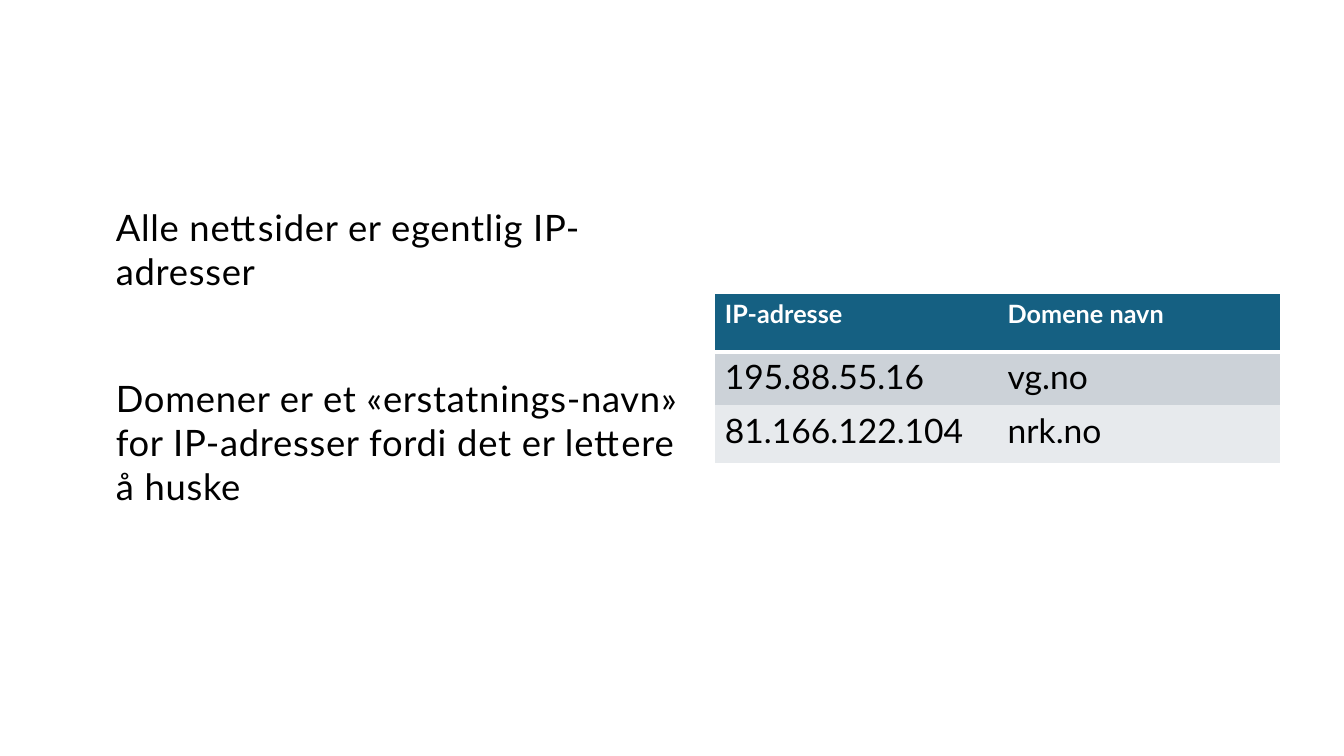
from dataclasses import dataclass

from lxml.etree import SubElement
from pptx import Presentation
from pptx.dml.color import RGBColor
from pptx.enum.text import MSO_ANCHOR as Anchor
from pptx.oxml.ns import qn
from pptx.slide import Slide
from pptx.table import _Cell as Cell
from pptx.text.text import _Paragraph as Paragraph
from pptx.util import Inches, Pt


@dataclass(frozen=True)
class Theme:
    """Colours and type sizes of the slide."""
    font: str = "Lato"
    white: str = "FFFFFF"
    black: str = "000000"
    header_fill: str = "156082"
    body_size: int = 26
    header_size: int = 18
    cell_size: int = 24
    spacing: float = 7
    thin_line: float = 1
    thick_line: float = 3


@dataclass(frozen=True)
class Statement:
    """One paragraph of the body text."""
    text: str
    space_before: float


@dataclass(frozen=True)
class TableRow:
    """One row of the address table."""
    texts: tuple[str, str]
    height: float
    fill: str
    header: bool = False


THEME = Theme()
NO_STYLE = "{2D5ABB26-0587-4C30-8999-92F81FD0307C}"
STATEMENTS = (
    Statement("Alle nettsider er egentlig IP-adresser", 0),
    Statement("Domener er et «erstatnings-navn» for IP-adresser "
              "fordi det er lettere å huske", 52.5),
)
ROWS = (
    TableRow(("IP-adresse", "Domene navn"), 0.58, THEME.header_fill, True),
    TableRow(("195.88.55.16", "vg.no"), 0.53, "CCD2D8"),
    TableRow(("81.166.122.104", "nrk.no"), 0.58, "E7EAED"),
)


def style_font(paragraph: Paragraph, size: float, color: str, bold: bool = False) -> None:
    """Set the typeface of a whole paragraph."""
    font = paragraph.font
    font.name, font.size, font.bold = THEME.font, Pt(size), bold
    font.color.rgb = RGBColor.from_string(color)


def add_body(slide: Slide) -> None:
    """Add the statements on the left."""
    box = slide.shapes.add_textbox(Inches(1.05), Inches(1.98), Inches(5.84), Inches(3.53))
    frame = box.text_frame
    frame.word_wrap = True
    frame.vertical_anchor = Anchor.TOP
    for index, statement in enumerate(STATEMENTS):
        paragraph = frame.add_paragraph() if index else frame.paragraphs[0]
        run = paragraph.add_run()
        run.text = statement.text
        run.font._element.set("spc", "50")
        paragraph.line_spacing = 1.01
        paragraph.space_before = Pt(statement.space_before)
        paragraph.space_after = Pt(THEME.spacing)
        style_font(paragraph, THEME.body_size, THEME.black)


def add_borders(cell: Cell, widths: dict[str, float]) -> None:
    """Draw white borders on the named sides of a cell."""
    properties = cell._tc.get_or_add_tcPr()
    for side, width in widths.items():
        line = SubElement(properties, qn(f"a:ln{side}"), w=str(Pt(width)))
        fill = SubElement(line, qn("a:solidFill"))
        SubElement(fill, qn("a:srgbClr"), val=THEME.white)


def add_address_table(slide: Slide) -> None:
    """Add the table of addresses and domain names."""
    column_count = len(ROWS[0].texts)
    frame = slide.shapes.add_table(len(ROWS), column_count, Inches(7.09), Inches(2.91),
                                   Inches(5.61), Inches(sum(row.height for row in ROWS)))
    table = frame.table
    table._tbl.tblPr.find(qn("a:tableStyleId")).text = NO_STYLE
    for row_index, row in enumerate(ROWS):
        table.rows[row_index].height = Inches(row.height)
        for column_index, text in enumerate(row.texts):
            cell = table.cell(row_index, column_index)
            cell.text = text
            size = THEME.header_size if row.header else THEME.cell_size
            color = THEME.white if row.header else THEME.black
            style_font(cell.text_frame.paragraphs[0], size, color, row.header)
            widths = {"L" if column_index == 0 else "R": THEME.thin_line}
            if row.header:
                widths |= {"T": THEME.thin_line, "B": THEME.thick_line}
            elif row_index == len(ROWS) - 1:
                widths["B"] = THEME.thin_line
            add_borders(cell, widths)
            cell.fill.solid()
            cell.fill.fore_color.rgb = RGBColor.from_string(row.fill)


def main() -> None:
    """Build the slide and save it."""
    presentation = Presentation()
    presentation.slide_width, presentation.slide_height = Inches(13.33), Inches(7.5)
    slide = presentation.slides.add_slide(presentation.slide_layouts[6])
    background = slide.background.fill
    background.solid()
    background.fore_color.rgb = RGBColor.from_string(THEME.white)
    add_body(slide)
    add_address_table(slide)
    presentation.save("out.pptx")


if __name__ == "__main__":
    main()
